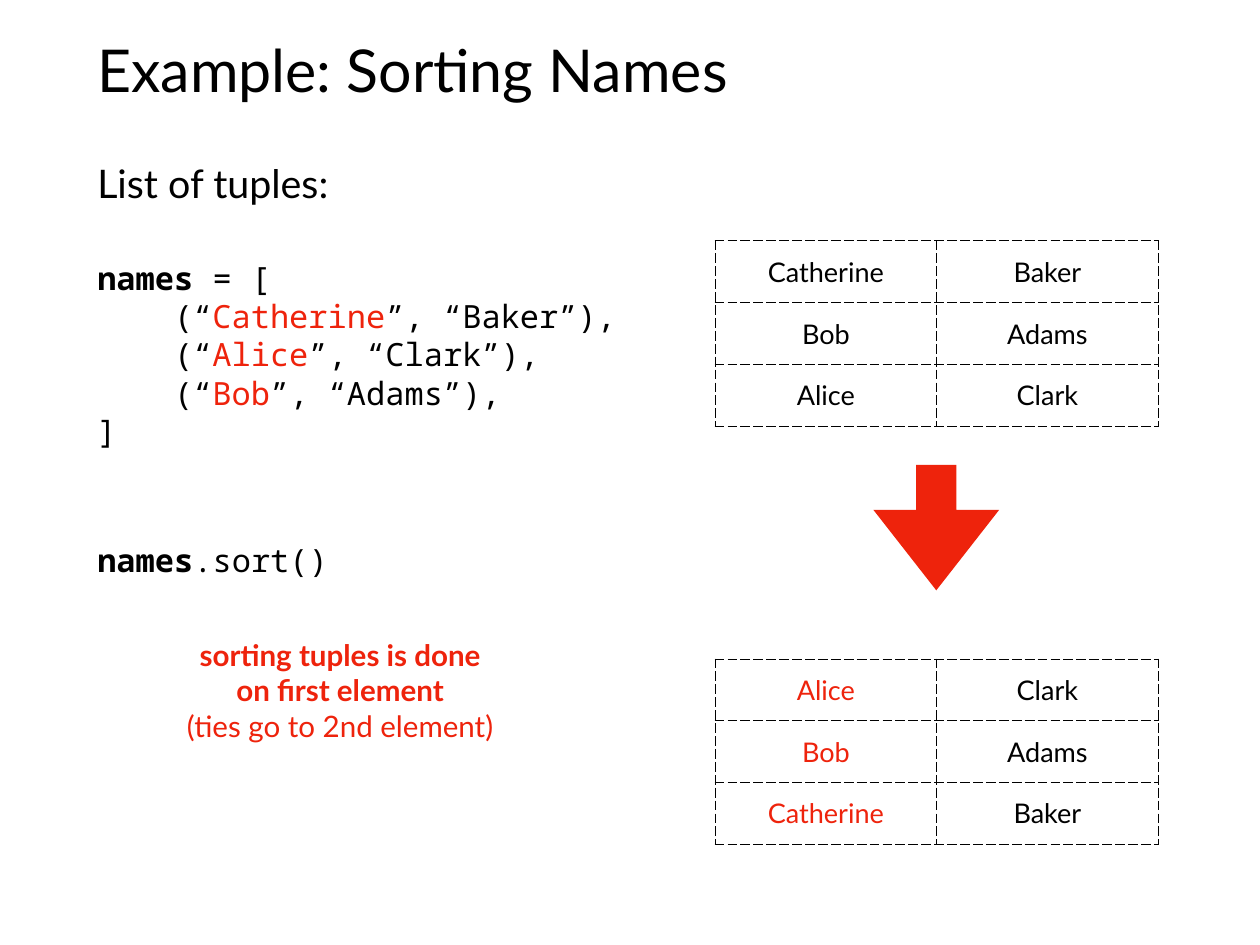
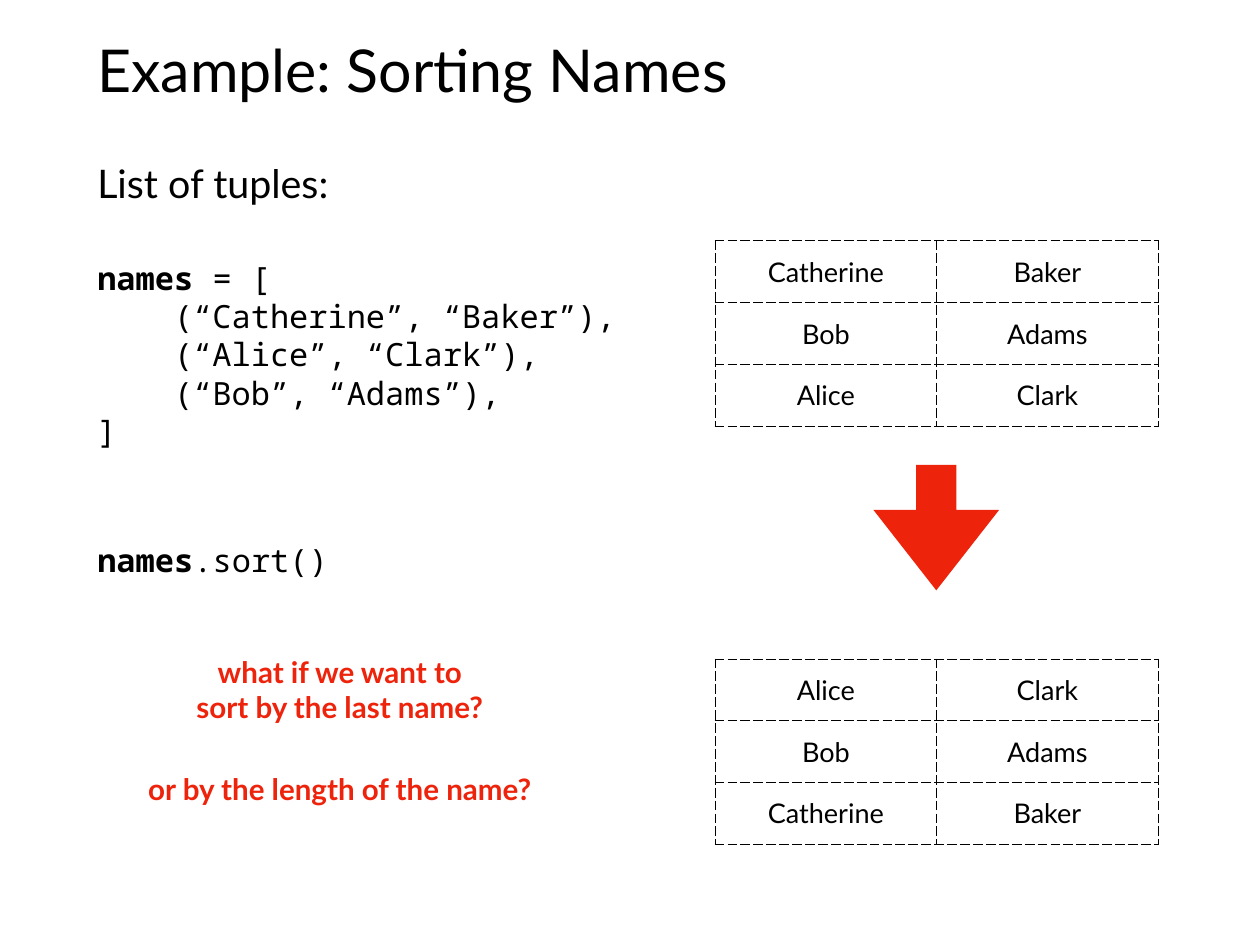
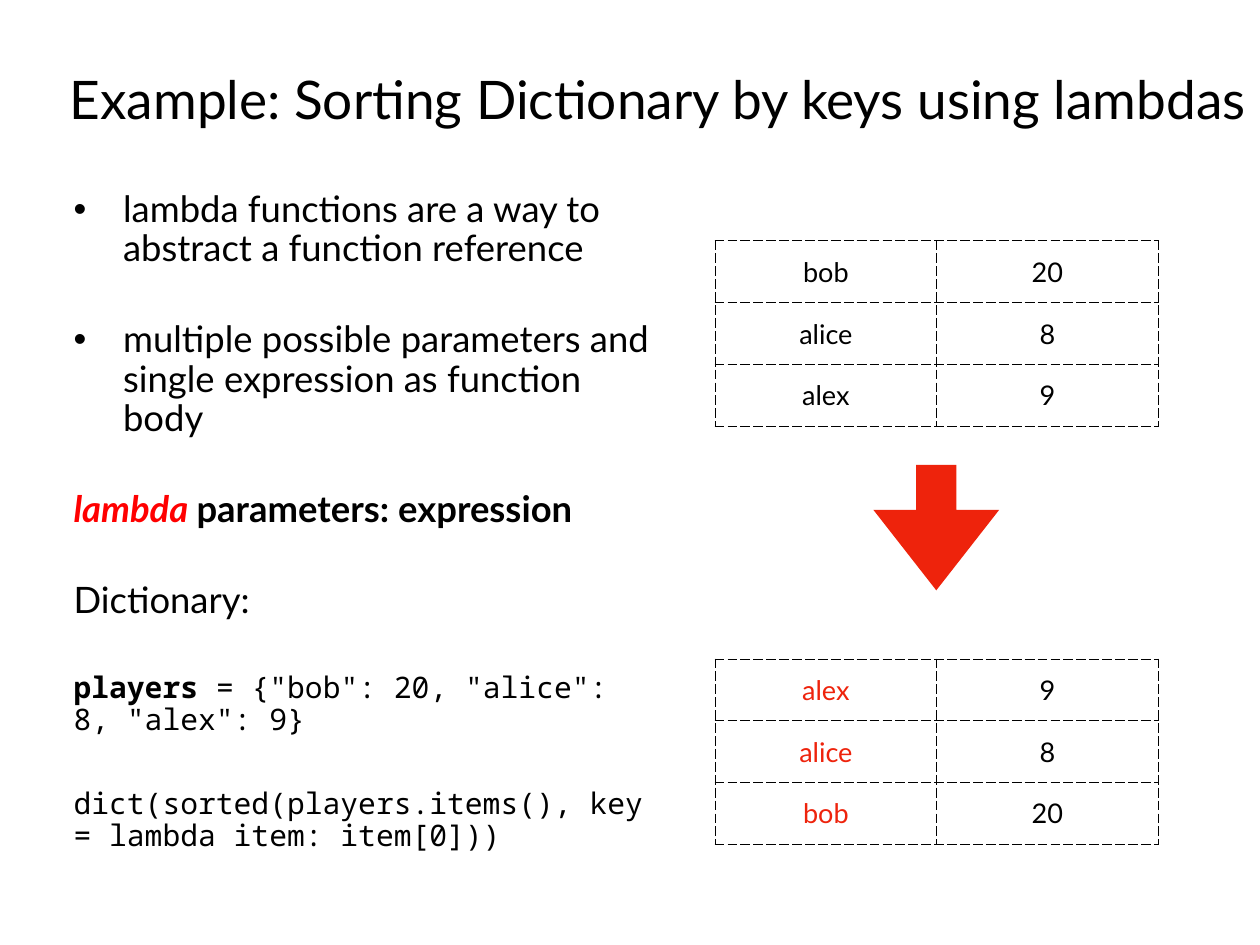
from dataclasses import dataclass, field

from lxml.etree import SubElement
from pptx import Presentation
from pptx.dml.color import RGBColor
from pptx.enum.shapes import MSO_SHAPE as Preset
from pptx.enum.text import MSO_ANCHOR as Anchor, MSO_AUTO_SIZE as AutoSize, PP_ALIGN as Align
from pptx.oxml.ns import qn
from pptx.util import Cm, Pt


@dataclass(frozen=True)
class Theme:
    ink: str = "000000"
    accent: str = "EE230C"
    keyword: str = "FF0000"
    sans: str = "Lato"
    mono: str = "Noto Sans Mono"
    title: float = 48
    lead: float = 32
    code: float = 26
    note: float = 24
    cell: float = 22
    long_title: float = 43.2
    small_lead: float = 29.6
    small_code: float = 24.1
    inset: float = 0.15
    gap: float = 42
    code_line: float = 31.2


THEME = Theme()


@dataclass
class Span:
    text: str
    size: float
    font: str = THEME.sans
    color: str = THEME.ink
    bold: bool = False
    italic: bool = False


@dataclass
class Para:
    spans: list = field(default_factory=list)
    before: float = 0
    line: float = 1.0
    align: Align = Align.LEFT
    indent: float = 0
    bullet: bool = False


def code(text, size=THEME.code, **style):
    return Span(text, size, THEME.mono, **style)


class Deck:
    def __init__(self, theme, width, height):
        self.theme = theme
        self.show = Presentation()
        self.show.slide_width, self.show.slide_height = Cm(width), Cm(height)
        self.page = None

    def add_page(self, title, size, box):
        self.page = self.show.slides.add_slide(self.show.slide_layouts[5])
        holder = self.page.shapes.title
        holder.left, holder.top, holder.width, holder.height = map(Cm, box)
        self.add_paras(holder.text_frame, [Para([Span(title, size)])], Anchor.MIDDLE)
        holder.text_frame.word_wrap = True
        holder.text_frame.auto_size = AutoSize.NONE

    def add_paras(self, frame, paras, anchor):
        inset = Cm(self.theme.inset)
        frame.margin_left = frame.margin_right = inset
        frame.margin_top = frame.margin_bottom = inset
        frame.vertical_anchor = anchor
        for index, item in enumerate(paras):
            para = frame.add_paragraph() if index else frame.paragraphs[0]
            para.alignment = item.align
            para.space_before = Pt(item.before)
            para.line_spacing = item.line
            self.indent(para, item)
            for span in item.spans:
                self.add_span(para, span)

    def indent(self, para, item):
        if not item.indent:
            return
        props = para._p.get_or_add_pPr()
        props.set("marL", str(Cm(item.indent)))
        if item.bullet:
            props.set("indent", str(-Cm(item.indent)))
            SubElement(props, qn("a:buFont"), typeface="Arial")
            SubElement(props, qn("a:buChar"), char="•")

    def add_span(self, para, span):
        run = para.add_run()
        run.text = span.text
        run.font.name, run.font.size = span.font, Pt(span.size)
        run.font.bold, run.font.italic = span.bold, span.italic
        run.font.color.rgb = RGBColor.from_string(span.color)

    def add_body(self, box, paras):
        frame = self.page.shapes.add_textbox(*map(Cm, box)).text_frame
        frame.word_wrap = True
        self.add_paras(frame, paras, Anchor.TOP)

    def add_note(self, box, lines):
        """Each line is a pair of text and bold flag."""
        frame = self.page.shapes.add_textbox(*map(Cm, box)).text_frame
        frame.word_wrap = False
        frame.auto_size = AutoSize.SHAPE_TO_FIT_TEXT
        look = dict(size=self.theme.note, color=self.theme.accent)
        paras = [Para([Span(text, bold=bold, **look)], align=Align.CENTER)
                 for text, bold in lines]
        self.add_paras(frame, paras, Anchor.MIDDLE)

    def add_grid(self, top, rows, key_color):
        left, column, row_height = 20.5, 6.35, 1.77
        count = len(rows[0])
        table = self.page.shapes.add_table(
            len(rows), count, Cm(left), Cm(top),
            Cm(column * count), Cm(row_height * len(rows))).table
        table.first_row = table.horz_banding = False
        for row, values in zip(table.rows, rows):
            row.height = Cm(row_height)
            for index, (cell, value) in enumerate(zip(row.cells, values)):
                color = self.theme.ink if index else key_color
                self.fill_cell(cell, Span(value, self.theme.cell, color=color))

    def fill_cell(self, cell, span):
        self.add_paras(cell.text_frame, [Para([span], align=Align.CENTER)], Anchor.MIDDLE)
        cell.vertical_anchor = Anchor.MIDDLE
        cell.margin_left = cell.margin_right = Cm(self.theme.inset)
        cell.margin_top = cell.margin_bottom = Cm(self.theme.inset)
        props = cell._tc.get_or_add_tcPr()
        for side in ("lnL", "lnR", "lnT", "lnB"):
            edge = SubElement(props, qn(f"a:{side}"), w=str(Pt(1)))
            paint = SubElement(edge, qn("a:solidFill"))
            SubElement(paint, qn("a:srgbClr"), val=self.theme.ink)
            SubElement(edge, qn("a:prstDash"), val="dash")
        cell.fill.background()

    def add_arrow(self):
        arrow = self.page.shapes.add_shape(
            Preset.RIGHT_ARROW, Cm(25.04), Cm(13.33), Cm(3.6), Cm(3.6))
        arrow.rotation = 90
        arrow.adjustments[0], arrow.adjustments[1] = 0.32, 0.64
        arrow.shadow.inherit = False
        arrow.fill.solid()
        arrow.fill.fore_color.rgb = RGBColor.from_string(self.theme.accent)
        arrow.line.fill.background()

    def add_sorting(self, before, after, key_color):
        self.add_grid(6.91, before, self.theme.ink)
        self.add_arrow()
        self.add_grid(18.9, after, key_color)


def names_code(first_color):
    people = [("Catherine", "Baker"), ("Alice", "Clark"), ("Bob", "Adams")]
    entries = [
        Para([code("(“"), code(first, color=first_color), code(f"”, “{last}”),")], indent=2.2)
        for first, last in people]
    return [
        Para([Span("List of tuples:", THEME.lead)], before=THEME.gap),
        Para([code("names", bold=True), code(" = [")], before=THEME.gap),
        *entries,
        Para([code("]")]),
        Para([code("names", bold=True), code(".sort()")],
             before=THEME.gap + THEME.code_line),
    ]


deck = Deck(THEME, 36.12, 27.1)

# Sorting names, with and without the first names marked
unsorted_names = [("Catherine", "Baker"), ("Bob", "Adams"), ("Alice", "Clark")]
sorted_names = sorted(unsorted_names)
name_pages = [
    (THEME.accent, (2.64, 4.42, 16.28, 21.46), [
        ((4.85, 18.16, 9.8, 3.25), [("sorting tuples is done", True),
                                    ("on first element", True),
                                    ("(ties go to 2nd element)", False)])]),
    (THEME.ink, (2.64, 4.42, 16.64, 13.89), [
        ((4.85, 18.64, 9.78, 2.26), [("what if we want to", True),
                                     ("sort by the last name?", True)]),
        ((3.25, 21.97, 12.98, 1.27), [("or by the length of the name?", True)])]),
]
for key_color, body_box, notes in name_pages:
    deck.add_page("Example: Sorting Names", THEME.title, (2.64, 0.71, 30.84, 2.51))
    deck.add_body(body_box, names_code(key_color))
    deck.add_sorting(unsorted_names, sorted_names, key_color)
    for note_box, lines in notes:
        deck.add_note(note_box, lines)

# Sorting a dictionary with lambdas
deck.add_page("Example: Sorting Dictionary by keys using lambdas",
              THEME.long_title, (1.85, 1.57, 34.26, 2.51))
lead, small = THEME.small_lead, THEME.small_code
spacing = dict(before=THEME.gap, line=0.9)
points = ["lambda functions are a way to abstract a function reference",
          "multiple possible parameters and single expression as function body"]
deck.add_body((1.96, 5.33, 17.04, 20.19), [
    *[Para([Span(point, lead)], indent=1.42, bullet=True, **spacing) for point in points],
    Para([Span("lambda ", lead, color=THEME.keyword, bold=True, italic=True),
          Span("parameters: expression", lead, bold=True)], **spacing),
    Para([Span("Dictionary:", lead)], **spacing),
    Para([code("players", small, bold=True),
          code(' = {"bob": 20, "alice": 8, "alex": 9}', small)], **spacing),
    Para([code("dict(sorted(players.items(), key = lambda item: item[0]))", small)],
         **spacing),
])
players = [("bob", "20"), ("alice", "8"), ("alex", "9")]
deck.add_sorting(players, sorted(players), THEME.accent)

deck.show.save("out.pptx")
